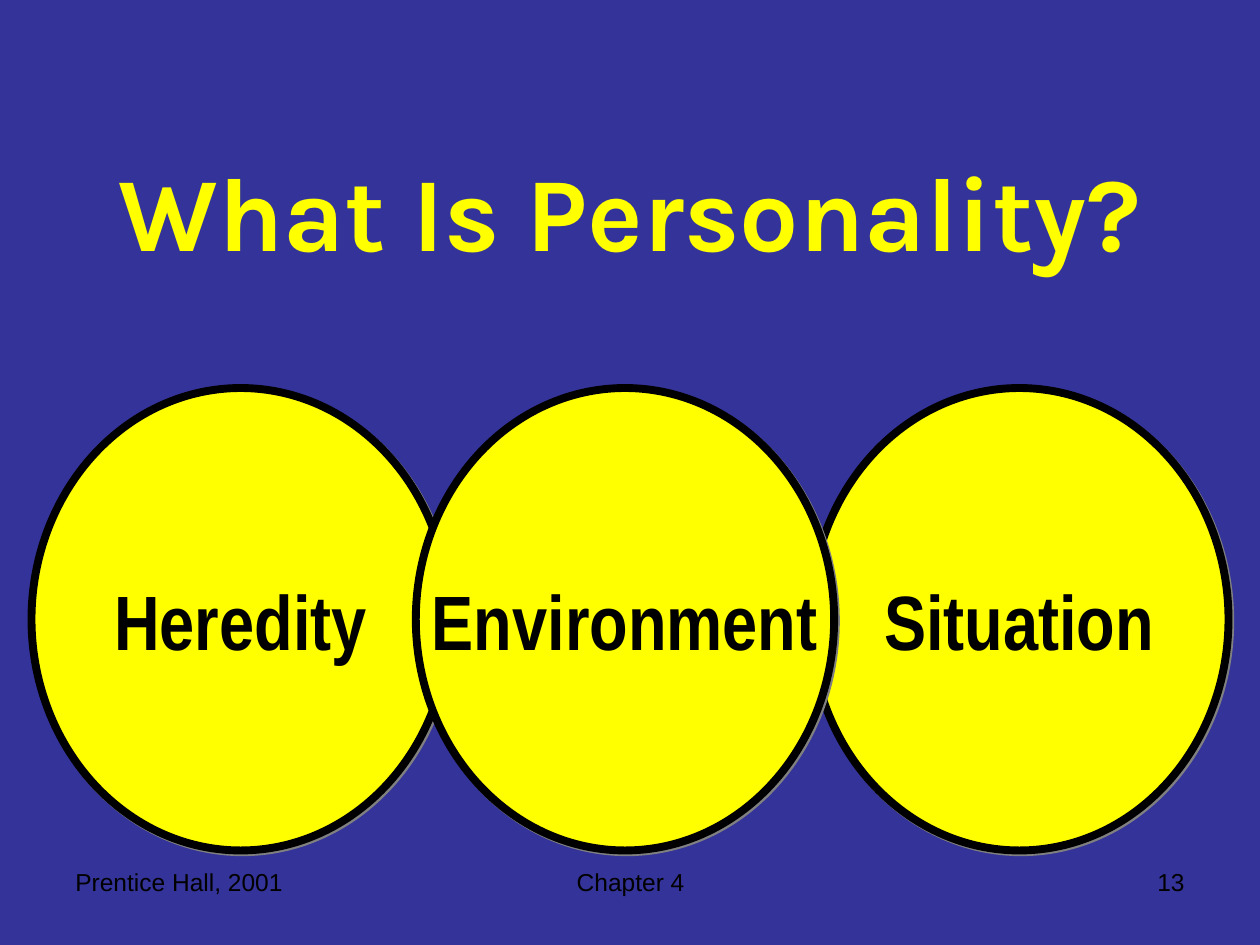
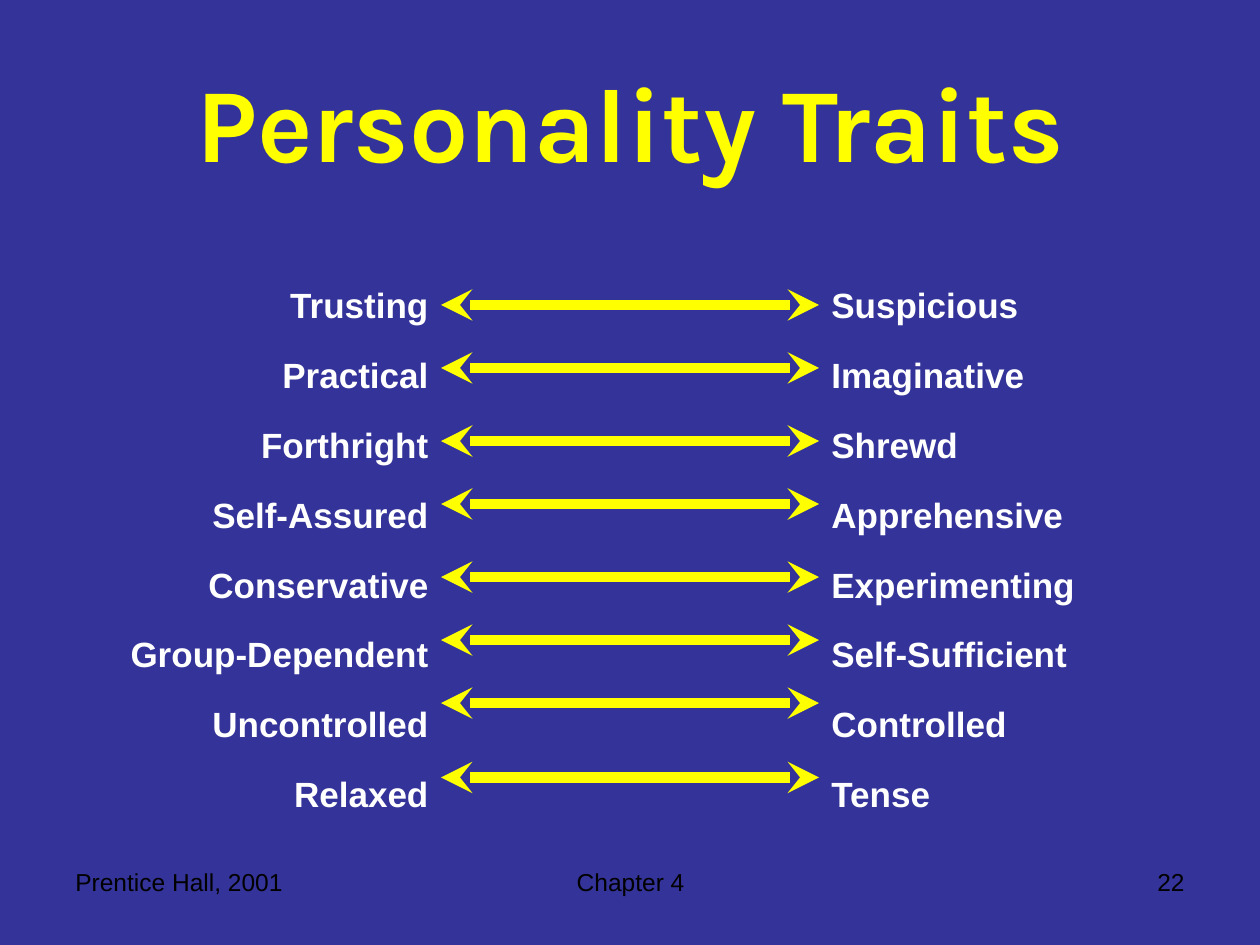
"""Build two slides on personality: its sources and its paired traits."""
from lxml import etree
from pptx import Presentation
from pptx.util import Inches as In, Pt
from pptx.dml.color import RGBColor as RGB
from pptx.enum.shapes import MSO_SHAPE as Kind, MSO_CONNECTOR as Conn
from pptx.enum.text import PP_ALIGN as Al, MSO_ANCHOR as Anc
from pptx.oxml.ns import qn

hues = {"back": "333399", "gold": "FFFF00", "ink": "000000", "pale": "FFFFFF", "shade": "808080"}
tone = {name: RGB.from_string(code) for name, code in hues.items()}


def shade(node):
    fx = etree.Element(qn("a:effectLst"))
    drop = etree.SubElement(fx, qn("a:outerShdw"), dist="17961", dir="2700000",
                            algn="ctr", rotWithShape="0")
    etree.SubElement(drop, qn("a:srgbClr"), val=hues["shade"])
    node.addnext(fx)


def write(shape, text, size=14, face="Arial", hue="ink", bold=False, al=Al.LEFT,
          anc=Anc.TOP, wrap=True, line=None, gap=0, glow=False):
    frame = shape.text_frame
    frame.word_wrap = wrap
    frame.vertical_anchor = anc
    frame.text = text
    for row, par in enumerate(frame.paragraphs):
        par.alignment = al
        if line:
            par.line_spacing = line
        if row and gap:
            par.space_before = Pt(gap)
        font = par.runs[0].font
        font.size, font.name, font.bold = Pt(size), face, bold
        font.color.rgb = tone[hue]
        if glow:
            shade(par.runs[0]._r.rPr.find(qn("a:solidFill")))


deck = Presentation()
deck.slide_width, deck.slide_height = In(10), In(7.5)
head = dict(size=60, face="Karla", hue="gold", bold=True, al=Al.CENTER, anc=Anc.MIDDLE)
pages = []
for title, top, high, num, extra in [
    ("What Is Personality?", 0.5, 2.33, "13", dict(wrap=False, glow=True)),
    ("Personality Traits", 0.33, 1.25, "22", {}),
]:
    page = deck.slides.add_slide(deck.slide_layouts[6])
    page.background.fill.solid()
    page.background.fill.fore_color.rgb = tone["back"]
    box = page.shapes.add_textbox(In(0.5), In(top), In(9), In(high))
    write(box, title, **head, **extra)
    for text, left, wide, al in [
        ("Chapter 4", 3.42, 3.17, Al.CENTER),
        (num, 7.17, 2.33, Al.RIGHT),
        ("Prentice Hall, 2001", 0.5, 2.33, Al.LEFT),
    ]:
        foot = page.shapes.add_textbox(In(left), In(6.83), In(wide), In(0.52))
        write(foot, text, al=al)
    pages.append(page)
cause, trait = pages

for text, left in [("Heredity", 0.25), ("Situation", 6.43), ("Environment", 3.3)]:
    disc = cause.shapes.add_shape(Kind.OVAL, In(left), In(3.08), In(3.32), In(3.67))
    disc.fill.solid()
    disc.fill.fore_color.rgb = tone["gold"]
    disc.line.color.rgb = tone["ink"]
    disc.line.width = Pt(4.5)
    shade(disc.line._ln)
    write(disc, text, size=44, face="Arial Narrow", bold=True, al=Al.CENTER,
          anc=Anc.MIDDLE, wrap=False)

pairs = [
    ("Trusting", "Suspicious", 2.42),
    ("Practical", "Imaginative", 2.92),
    ("Forthright", "Shrewd", 3.5),
    ("Self-Assured", "Apprehensive", 4),
    ("Conservative", "Experimenting", 4.58),
    ("Group-Dependent", "Self-Sufficient", 5.08),
    ("Uncontrolled", "Controlled", 5.58),
    ("Relaxed", "Tense", 6.17),
]
lows, highs, tops = zip(*pairs)
for words, left, al in [(lows, 0.5, Al.RIGHT), (highs, 6.5, Al.LEFT)]:
    box = trait.shapes.add_textbox(In(left), In(2.17), In(3), In(4.25))
    write(box, "\n".join(words), size=20, hue="pale", bold=True, al=al, line=1.1, gap=13.5)
for top in tops:
    arrow = trait.shapes.add_connector(Conn.STRAIGHT, In(3.5), In(top), In(6.5), In(top))
    arrow.line.color.rgb = tone["gold"]
    arrow.line.width = Pt(6)
    edge = arrow.line._ln
    for end in ("a:headEnd", "a:tailEnd"):
        etree.SubElement(edge, qn(end), type="stealth")
    edge.addnext(etree.Element(qn("a:effectLst")))

deck.save("out.pptx")
